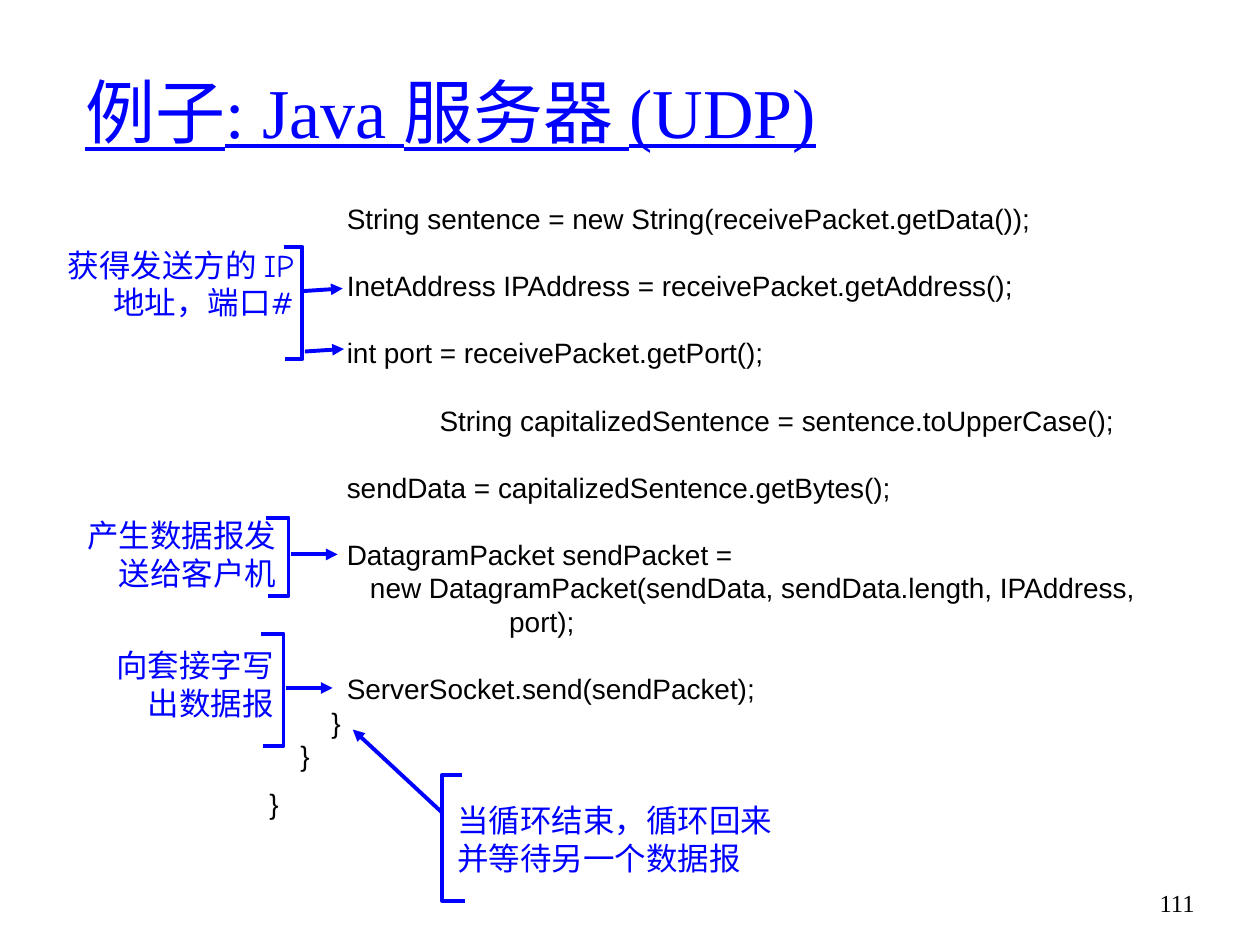
from dataclasses import dataclass

from lxml import etree
from pptx import Presentation
from pptx.dml.color import RGBColor
from pptx.enum.shapes import MSO_CONNECTOR
from pptx.enum.text import MSO_ANCHOR, PP_ALIGN
from pptx.oxml.ns import qn
from pptx.util import Inches, Pt

STRAIGHT = MSO_CONNECTOR.STRAIGHT
TOP, MIDDLE = MSO_ANCHOR.TOP, MSO_ANCHOR.MIDDLE
LEFT, RIGHT = PP_ALIGN.LEFT, PP_ALIGN.RIGHT


@dataclass(frozen=True)
class Theme:
    blue: RGBColor = RGBColor(0, 0, 255)
    black: RGBColor = RGBColor(0, 0, 0)
    serif: str = "Times New Roman"
    sans: str = "Arial"
    casual: str = "Comic Neue"
    title_size: float = 40
    label_size: float = 18
    code_size: float = 16
    number_size: float = 14
    code_line: float = 19.2
    stroke: float = 2.25


THEME = Theme()

TITLE = "例子: Java 服务器 (UDP)"
PAGE_NUMBER = "111"

FULL_GAP, SMALL_GAP = THEME.code_line, 8
CODE = [
    (0, "          String sentence = new String(receivePacket.getData());"),
    (FULL_GAP, "          InetAddress IPAddress = receivePacket.getAddress();"),
    (FULL_GAP, "          int port = receivePacket.getPort();"),
    (FULL_GAP, "                      String capitalizedSentence = sentence.toUpperCase();"),
    (FULL_GAP, "          sendData = capitalizedSentence.getBytes();"),
    (FULL_GAP, "          DatagramPacket sendPacket ="),
    (0, "             new DatagramPacket(sendData, sendData.length, IPAddress,"),
    (0, "                               port);"),
    (FULL_GAP, "          ServerSocket.send(sendPacket);"),
    (0, "        }"),
    (0, "    }"),
    (SMALL_GAP, "}"),
]

CALLOUTS = [
    {
        "text": "获得发送方的 IP 地址，端口#",
        "box": (0.14, 1.9, 2.29, 1),
        "align": RIGHT,
        "bracket": [(2.25, 1.96), (2.4, 1.96), (2.4, 2.85), (2.26, 2.85)],
        "arrows": [(2.41, 2.31, 2.72, 2.29), (2.42, 2.79, 2.73, 2.77)],
    },
    {
        "text": "产生数据报发送给客户机",
        "box": (0.41, 4.05, 1.88, 0.7),
        "align": RIGHT,
        "bracket": [(2.11, 4.11), (2.29, 4.11), (2.29, 4.73), (2.13, 4.73)],
        "arrows": [(2.31, 4.4, 2.68, 4.4)],
    },
    {
        "text": "向套接字写出数据报",
        "box": (0.72, 5.08, 1.55, 0.7),
        "align": RIGHT,
        "bracket": [(2.07, 5.03), (2.25, 5.03), (2.25, 5.92), (2.09, 5.92)],
        "arrows": [(2.27, 5.46, 2.64, 5.46)],
    },
    {
        "text": "当循环结束，循环回来并等待另一个数据报",
        "box": (3.53, 6.31, 2.9, 0.7),
        "align": LEFT,
        "bracket": [(3.67, 6.15), (3.51, 6.15), (3.51, 7.15), (3.69, 7.15)],
        "arrows": [(3.51, 6.45, 2.8, 5.79)],
    },
]


def add_frame(slide, box, anchor=TOP):
    frame = slide.shapes.add_textbox(*map(Inches, box)).text_frame
    frame.word_wrap = True
    frame.vertical_anchor = anchor
    return frame


def write(paragraph, text, font_name, size, color, align=LEFT, underline=None):
    paragraph.alignment = align
    run = paragraph.add_run()
    run.text = text
    run.font.name = font_name
    run.font.size = Pt(size)
    run.font.color.rgb = color
    run.font.underline = underline


def style_line(line):
    line.color.rgb = THEME.blue
    line.width = Pt(THEME.stroke)


def add_code(slide):
    frame = add_frame(slide, (2.04, 1.29, 7.15, 5.3))
    frame.margin_top = Inches(0.31)
    for index, (gap, text) in enumerate(CODE):
        paragraph = frame.add_paragraph() if index else frame.paragraphs[0]
        paragraph.line_spacing = Pt(THEME.code_line)
        paragraph.space_before = Pt(gap)
        write(paragraph, text, THEME.sans, THEME.code_size, THEME.black)


def add_bracket(slide, points):
    start, *rest = [(Inches(x), Inches(y)) for x, y in points]
    builder = slide.shapes.build_freeform(*start)
    builder.add_line_segments(rest, close=False)
    shape = builder.convert_to_shape()
    shape.shadow.inherit = False
    shape.fill.background()
    style_line(shape.line)


def add_arrow(slide, ends):
    connector = slide.shapes.add_connector(STRAIGHT, *map(Inches, ends))
    style_line(connector.line)
    properties = connector.element.spPr
    etree.SubElement(properties.find(qn("a:ln")), qn("a:tailEnd"), type="triangle")
    etree.SubElement(properties, qn("a:effectLst"))


def add_callout(slide, callout):
    frame = add_frame(slide, callout["box"])
    write(frame.paragraphs[0], callout["text"], THEME.casual, THEME.label_size,
          THEME.blue, callout["align"])
    add_bracket(slide, callout["bracket"])
    for ends in callout["arrows"]:
        add_arrow(slide, ends)


def main():
    presentation = Presentation()
    presentation.slide_width = Inches(10)
    presentation.slide_height = Inches(7.5)
    slide = presentation.slides.add_slide(presentation.slide_layouts[6])

    title = add_frame(slide, (0.58, 0.25, 8.5, 1.25), MIDDLE)
    write(title.paragraphs[0], TITLE, THEME.serif, THEME.title_size, THEME.blue,
          underline=True)
    add_code(slide)
    for callout in CALLOUTS:
        add_callout(slide, callout)
    number = add_frame(slide, (9.08, 7, 0.5, 0.5))
    write(number.paragraphs[0], PAGE_NUMBER, THEME.serif, THEME.number_size,
          THEME.black, RIGHT)

    presentation.save("out.pptx")


if __name__ == "__main__":
    main()
